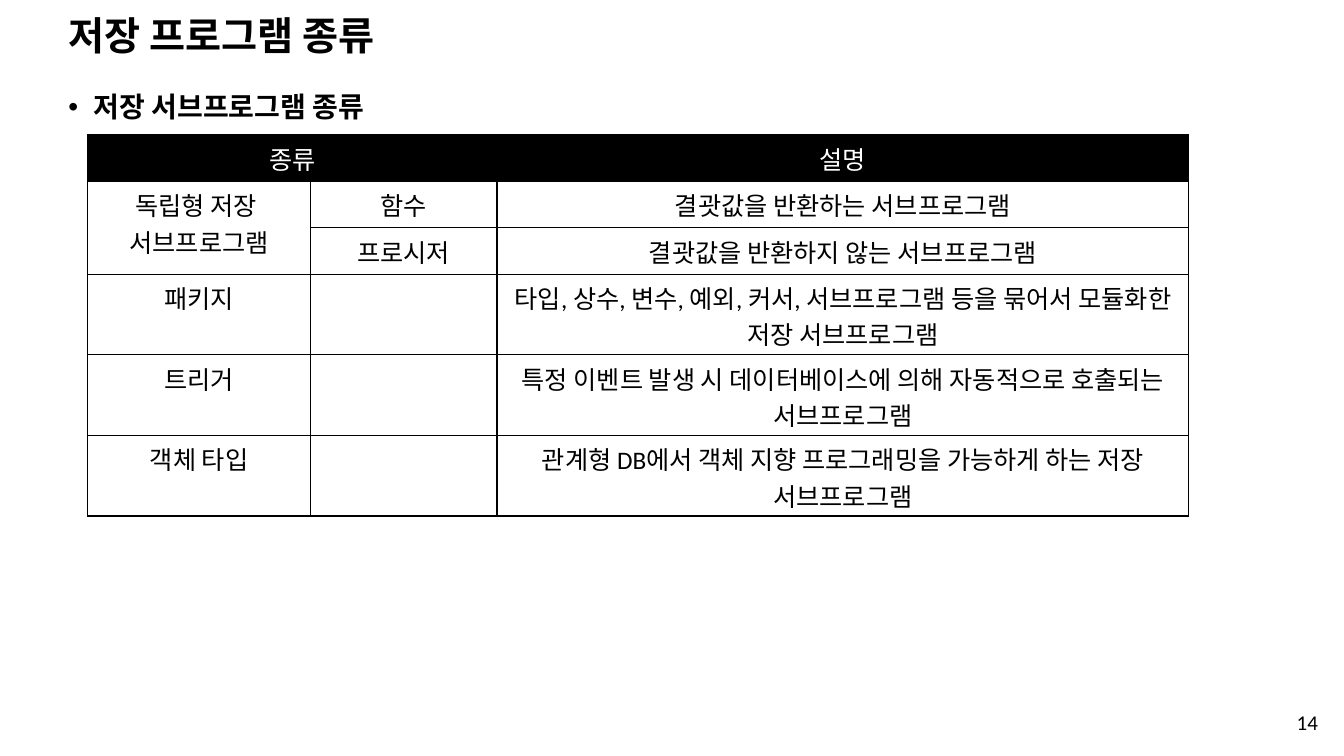
from lxml.etree import SubElement
from pptx import Presentation
from pptx.dml.color import RGBColor
from pptx.enum.text import MSO_ANCHOR as Anchor, PP_ALIGN as Align
from pptx.oxml.ns import qn
from pptx.util import Inches, Pt

BLACK, WHITE = "000000", "FFFFFF"
COLUMN_WIDTHS = [2.21, 1.85, 6.86]
ROW_HEIGHTS = [0.46] * 3 + [0.8] * 3
ROWS = [
    ["종류", "", "설명"],
    ["독립형 저장 \n서브프로그램", "함수", "결괏값을 반환하는 서브프로그램"],
    ["", "프로시저", "결괏값을 반환하지 않는 서브프로그램"],
    ["패키지", "", "타입, 상수, 변수, 예외, 커서, 서브프로그램 등을 묶어서 모듈화한 저장 서브프로그램"],
    ["트리거", "", "특정 이벤트 발생 시 데이터베이스에 의해 자동적으로 호출되는 서브프로그램"],
    ["객체 타입", "", "관계형 DB에서 객체 지향 프로그래밍을 가능하게 하는 저장 서브프로그램"],
]


def color(value):
    """Turn a hex string into a colour."""
    return RGBColor.from_string(value)


def write(frame, text, size=18, font="Calibri", ink=BLACK, bold=False,
          align=Align.LEFT, spacing=None, after=None, bullet=None):
    """Fill a text frame with one paragraph per line of text."""
    frame.word_wrap = True
    for index, line in enumerate(text.split("\n")):
        paragraph = frame.add_paragraph() if index else frame.paragraphs[0]
        paragraph.alignment = align
        paragraph.line_spacing = spacing
        paragraph.space_after = after
        if bullet:
            properties = paragraph._p.get_or_add_pPr()
            properties.set("marL", str(Inches(0.25)))
            properties.set("indent", str(-Inches(0.25)))
            SubElement(properties, qn("a:buFont"), typeface="Arial")
            SubElement(properties, qn("a:buChar"), char=bullet)
        run = paragraph.add_run()
        run.text = line
        run.font.size, run.font.name, run.font.bold = Pt(size), font, bold
        run.font.color.rgb = color(ink)


def add_text(slide, box, text, anchor=Anchor.TOP, **text_format):
    """Place a text box in the given box."""
    frame = slide.shapes.add_textbox(*map(Inches, box)).text_frame
    write(frame, text, **text_format)
    frame.vertical_anchor = anchor


def add_borders(cell, ink=BLACK, width=1):
    """Draw a solid line on each side of a table cell."""
    properties = cell._tc.get_or_add_tcPr()
    for index, side in enumerate(("lnL", "lnR", "lnT", "lnB")):
        line = properties.makeelement(qn(f"a:{side}"), {"w": str(Pt(width))})
        fill = SubElement(line, qn("a:solidFill"))
        SubElement(fill, qn("a:srgbClr"), val=ink)
        properties.insert(index, line)


def add_program_table(slide, left, top):
    """Place the table of stored program types at the given corner."""
    size = sum(COLUMN_WIDTHS), sum(ROW_HEIGHTS)
    table = slide.shapes.add_table(
        len(ROWS), len(COLUMN_WIDTHS), *map(Inches, (left, top, *size))).table
    table.first_row = table.horz_banding = False
    for column, width in zip(table.columns, COLUMN_WIDTHS):
        column.width = Inches(width)
    for row, height in zip(table.rows, ROW_HEIGHTS):
        row.height = Inches(height)
    table.cell(0, 0).merge(table.cell(0, 1))
    table.cell(1, 0).merge(table.cell(2, 0))
    for row_index, texts in enumerate(ROWS):
        for column_index, text in enumerate(texts):
            cell = table.cell(row_index, column_index)
            if row_index == 0:
                cell.fill.solid()
                cell.fill.fore_color.rgb = color(BLACK)
            else:
                cell.fill.background()
            add_borders(cell)
            if text:
                write(cell.text_frame, text, align=Align.CENTER,
                      ink=BLACK if row_index else WHITE)


def add_program_slide(presentation):
    """Build the slide on the types of stored programs."""
    slide = presentation.slides.add_slide(presentation.slide_layouts[6])
    add_text(slide, (0.58, 0.18, 11.5, 0.38), "저장 프로그램 종류", Anchor.MIDDLE,
             size=28, font="Arial", bold=True, spacing=0.9)
    add_text(slide, (0.58, 0.71, 12.14, 6.45), "저장 서브프로그램 종류",
             size=20, font="Arial", bold=True, spacing=1.4, after=Pt(3), bullet="•")
    add_program_table(slide, 0.87, 1.34)
    add_text(slide, (9.42, 6.95, 3.75, 0.42), "14", Anchor.MIDDLE,
             size=15, align=Align.RIGHT)


def main():
    """Create and save the presentation."""
    presentation = Presentation()
    presentation.slide_width, presentation.slide_height = Inches(13.33), Inches(7.5)
    add_program_slide(presentation)
    presentation.save("out.pptx")


if __name__ == "__main__":
    main()
